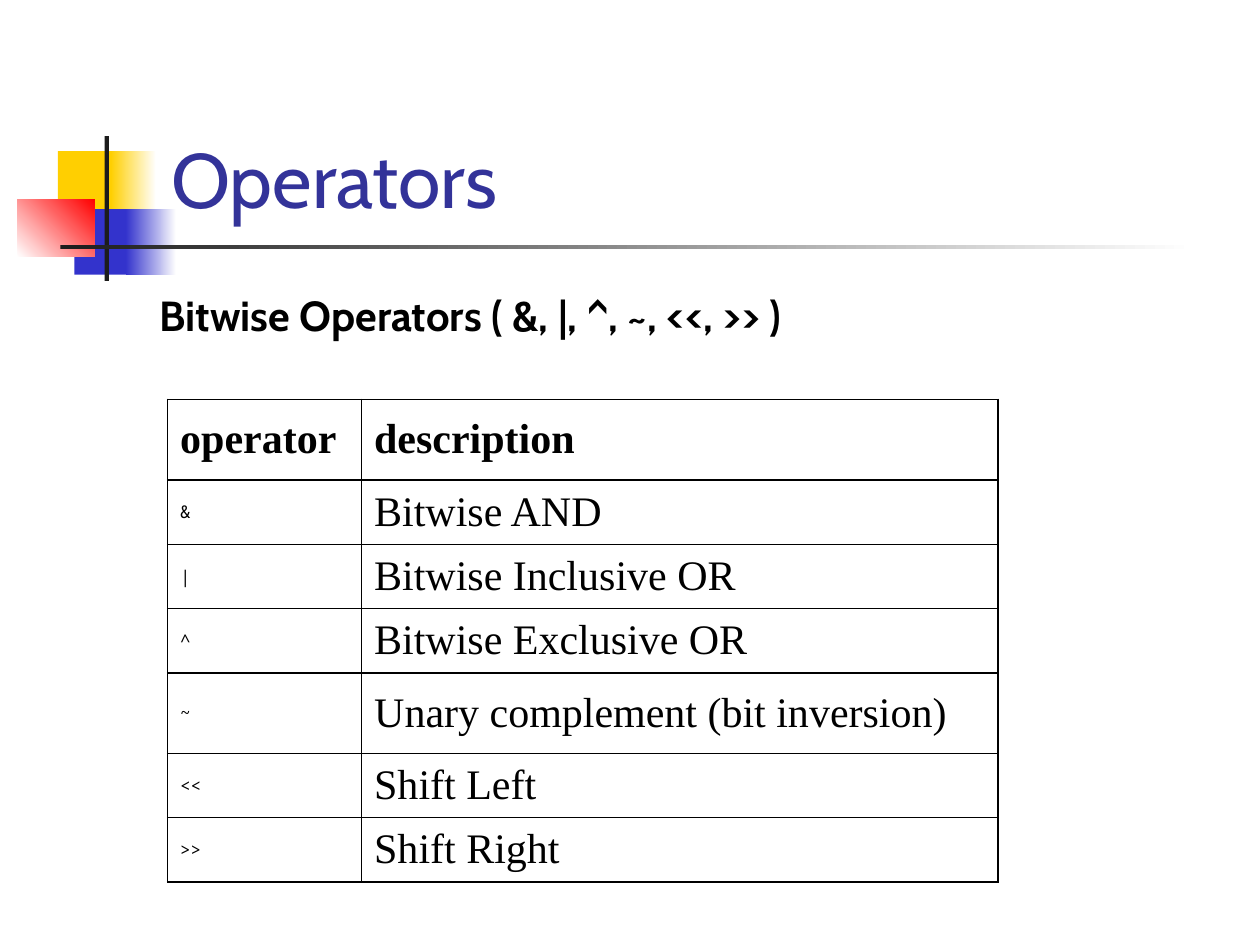
from lxml import etree
from pptx import Presentation
from pptx.dml.color import RGBColor
from pptx.enum.shapes import MSO_SHAPE
from pptx.enum.text import MSO_ANCHOR
from pptx.oxml.ns import qn
from pptx.util import Inches, Pt

RECT = MSO_SHAPE.RECTANGLE
TOP, MID, BASE = MSO_ANCHOR.TOP, MSO_ANCHOR.MIDDLE, MSO_ANCHOR.BOTTOM
rgb = RGBColor.from_string

deck = Presentation()
deck.slide_width, deck.slide_height = Inches(10), Inches(7.5)
unit = deck.slide_width / 100  # square grid: 100 columns, 75 rows
slide = deck.slides.add_slide(deck.slide_layouts[6])


def grid(*nums):
    return [round(n * unit) for n in nums]


def write(frame, text, hue, **form):
    para = frame.paragraphs[0]
    run = para.add_run()
    run.text = text
    run.font.color.rgb = rgb(hue)
    for key, val in form.items():
        setattr(run.font, key, val)
    return para


# Corner ornament: box, start colour, end colour, angle
blocks = [
    ((4.6, 12, 4.8, 5.2), "FFCF01", None, 0),
    ((8.8, 12, 3.6, 5.2), "FFCF01", "FFFFFF", 0),
    ((5.9, 16.6, 4.6, 5.2), "3333CC", None, 0),
    ((10, 16.6, 4, 5.2), "3333CC", "FFFFFF", 0),
    ((1.4, 15.8, 6.1, 4.6), "FFFFFF", "FF0000", 45),
    ((8.3, 10.8, 0.35, 11.5), "1C1C1C", None, 0),
    ((4.8, 19.45, 90, 0.35), "1C1C1C", "FFFFFF", 0),
]
for box, start, end, angle in blocks:
    block = slide.shapes.add_shape(RECT, *grid(*box))
    block.shadow.inherit = False
    block.line.fill.background()
    if end:
        block.fill.gradient()
        block.fill.gradient_angle = angle
        for stop, hue in zip(block.fill.gradient_stops, (start, end)):
            stop.color.rgb = rgb(hue)
    else:
        block.fill.solid()
        block.fill.fore_color.rgb = rgb(start)

# Title and heading
texts = [
    ((12.6, 2.3, 85.2, 16), BASE, "Operators", "333399",
     dict(size=Pt(44), name="Cabin")),
    ((11.7, 22.5, 69.1, 9), TOP, "Bitwise Operators ( &, |, ^, ~, <<, >> )",
     "000000", dict(size=Pt(24), name="Cabin", bold=True)),
]
for box, anchor, text, hue, form in texts:
    frame = slide.shapes.add_textbox(*grid(*box)).text_frame
    frame.word_wrap = True
    frame.vertical_anchor = anchor
    write(frame, text, hue, **form)

# Operator table
rows = [
    ("operator", "description"),
    ("&", "Bitwise AND"),
    ("|", "Bitwise Inclusive OR"),
    ("^", "Bitwise Exclusive OR"),
    ("~", "Unary complement (bit inversion)"),
    ("<<", "Shift Left"),
    (">>", "Shift Right"),
]
tall = (0, 4)
serif = dict(size=Pt(24), name="Times New Roman")
mono = dict(size=Pt(10), name="Noto Sans Mono")
table = slide.shapes.add_table(
    len(rows), 2, *grid(13.3, 31.7, 65.9, 38.3)).table
table.first_row = table.horz_banding = False
for col, wide in zip(table.columns, grid(15.4, 50.5)):
    col.width = wide
for r, row in enumerate(rows):
    table.rows[r].height = grid(6.4 if r in tall else 5.1)[0]
    for c, text in enumerate(row):
        cell = table.cell(r, c)
        cell.vertical_anchor = MID
        form = mono if r and c == 0 else serif
        para = write(cell.text_frame, text, "000000", bold=r == 0, **form)
        hang = grid(3.8)[0]
        props = para._p.get_or_add_pPr()
        props.set("marL", str(hang))
        props.set("indent", str(-hang))
        # Borders come before the fill in the cell properties
        props = cell._tc.get_or_add_tcPr()
        for side in ("lnL", "lnR", "lnT", "lnB"):
            line = etree.SubElement(props, qn("a:" + side), w=str(Pt(1)))
            fill = etree.SubElement(line, qn("a:solidFill"))
            etree.SubElement(fill, qn("a:srgbClr"), val="000000")
        cell.fill.background()

deck.save("out.pptx")
